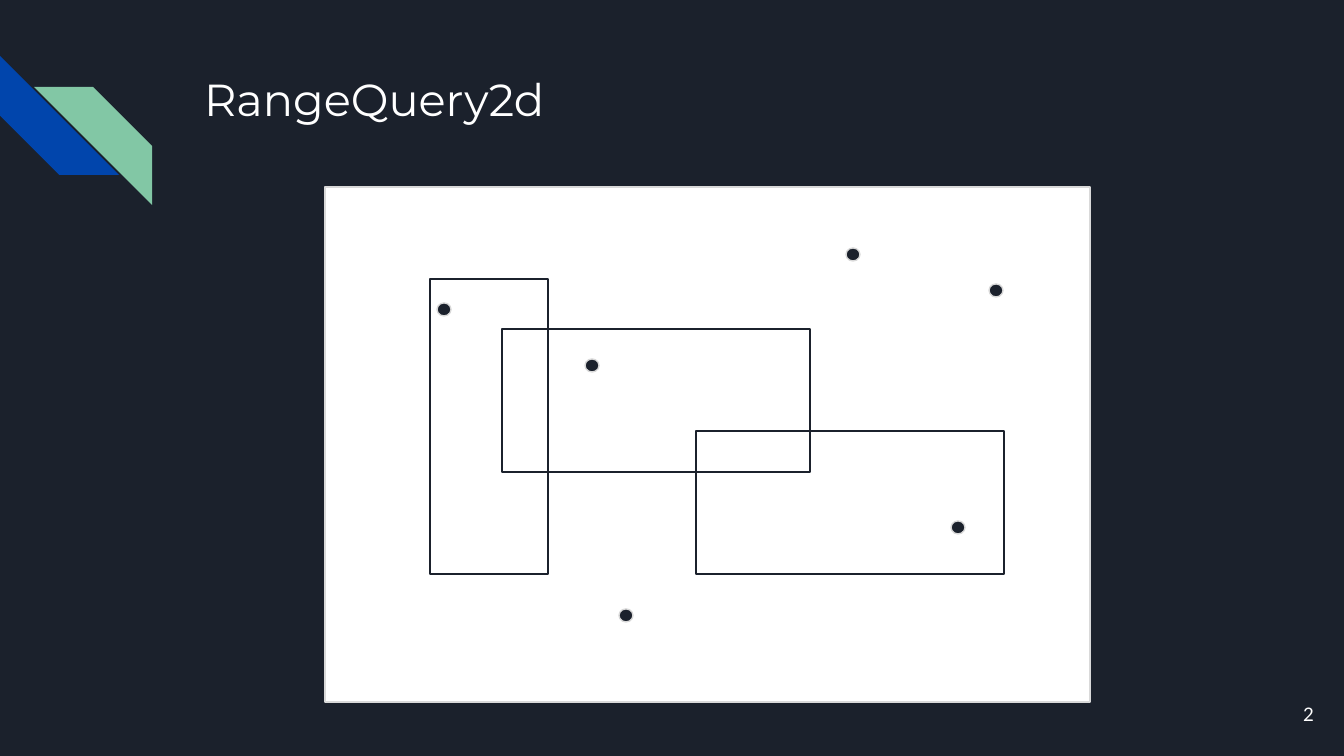
import dataclasses

import pptx
import pptx.dml.color
import pptx.enum.shapes
import pptx.enum.text
import pptx.util

EMU_PER_PX = 914400 / 134.4
SHAPE = pptx.enum.shapes.MSO_SHAPE
ALIGN = pptx.enum.text.PP_ALIGN
ANCHOR = pptx.enum.text.MSO_ANCHOR


@dataclasses.dataclass(frozen=True)
class Theme:
    ink: str = "1B212C"
    white: str = "FFFFFF"
    border: str = "D9D9D9"
    blue: str = "0145AC"
    green: str = "82C7A5"
    title_font: str = "Montserrat"
    body_font: str = "Lato"
    title_size: int = 24
    number_size: int = 10
    line_width: float = 0.75


def px(length):
    return pptx.util.Emu(round(length * EMU_PER_PX))


def rgb(color):
    return pptx.dml.color.RGBColor.from_string(color)


class SlideBuilder:
    def __init__(self, slide, theme):
        self.slide = slide
        self.theme = theme

    def background(self, color):
        fill = self.slide.background.fill
        fill.solid()
        fill.fore_color.rgb = rgb(color)

    def shape(self, kind, box, fill=None, line=None):
        shape = self.slide.shapes.add_shape(kind, *map(px, box))
        shape.shadow.inherit = False
        if fill:
            shape.fill.solid()
            shape.fill.fore_color.rgb = rgb(fill)
        else:
            shape.fill.background()
        if line:
            shape.line.color.rgb = rgb(line)
            shape.line.width = pptx.util.Pt(self.theme.line_width)
        else:
            shape.line.fill.background()
        return shape

    def stripe(self, box, color, rotation):
        stripe = self.shape(SHAPE.DIAGONAL_STRIPE, box, color)
        stripe.adjustments[0] = 0.5
        stripe.rotation = rotation

    def query_range(self, box):
        self.shape(SHAPE.RECTANGLE, box, line=self.theme.ink)

    def point(self, left, top):
        self.shape(SHAPE.OVAL, (left, top, 14, 13), self.theme.ink, self.theme.border)

    def text(self, box, text, font, size, align=ALIGN.LEFT, anchor=ANCHOR.TOP):
        frame = self.slide.shapes.add_textbox(*map(px, box)).text_frame
        frame.word_wrap = True
        frame.vertical_anchor = anchor
        frame.margin_left = frame.margin_right = pptx.util.Inches(0.1)
        frame.margin_top = frame.margin_bottom = pptx.util.Inches(0.1)
        paragraph = frame.paragraphs[0]
        paragraph.alignment = align
        run = paragraph.add_run()
        run.text = text
        run.font.name = font
        run.font.size = pptx.util.Pt(size)
        run.font.color.rgb = rgb(self.theme.white)


def main():
    theme = Theme()
    presentation = pptx.Presentation()
    presentation.slide_width = px(1344)
    presentation.slide_height = px(756)
    slide = presentation.slides.add_slide(presentation.slide_layouts[6])
    builder = SlideBuilder(slide, theme)

    builder.background(theme.ink)
    builder.stripe((0, 56, 119, 119), theme.blue, 270)
    builder.stripe((34, 87, 118, 118), theme.green, 90)
    builder.text((191, 58, 1035, 134), "RangeQuery2d", theme.title_font, theme.title_size)

    builder.shape(SHAPE.RECTANGLE, (325, 187, 765, 515), theme.white, theme.border)
    for box in ((430, 279, 118, 295), (502, 329, 308, 143), (696, 431, 308, 143)):
        builder.query_range(box)
    points = ((846, 248), (619, 609), (437, 303), (585, 359), (951, 521), (989, 284))
    for left, top in points:
        builder.point(left, top)

    builder.text((1246, 685, 81, 58), "2", theme.body_font, theme.number_size,
                 ALIGN.RIGHT, ANCHOR.MIDDLE)
    presentation.save("out.pptx")


if __name__ == "__main__":
    main()
